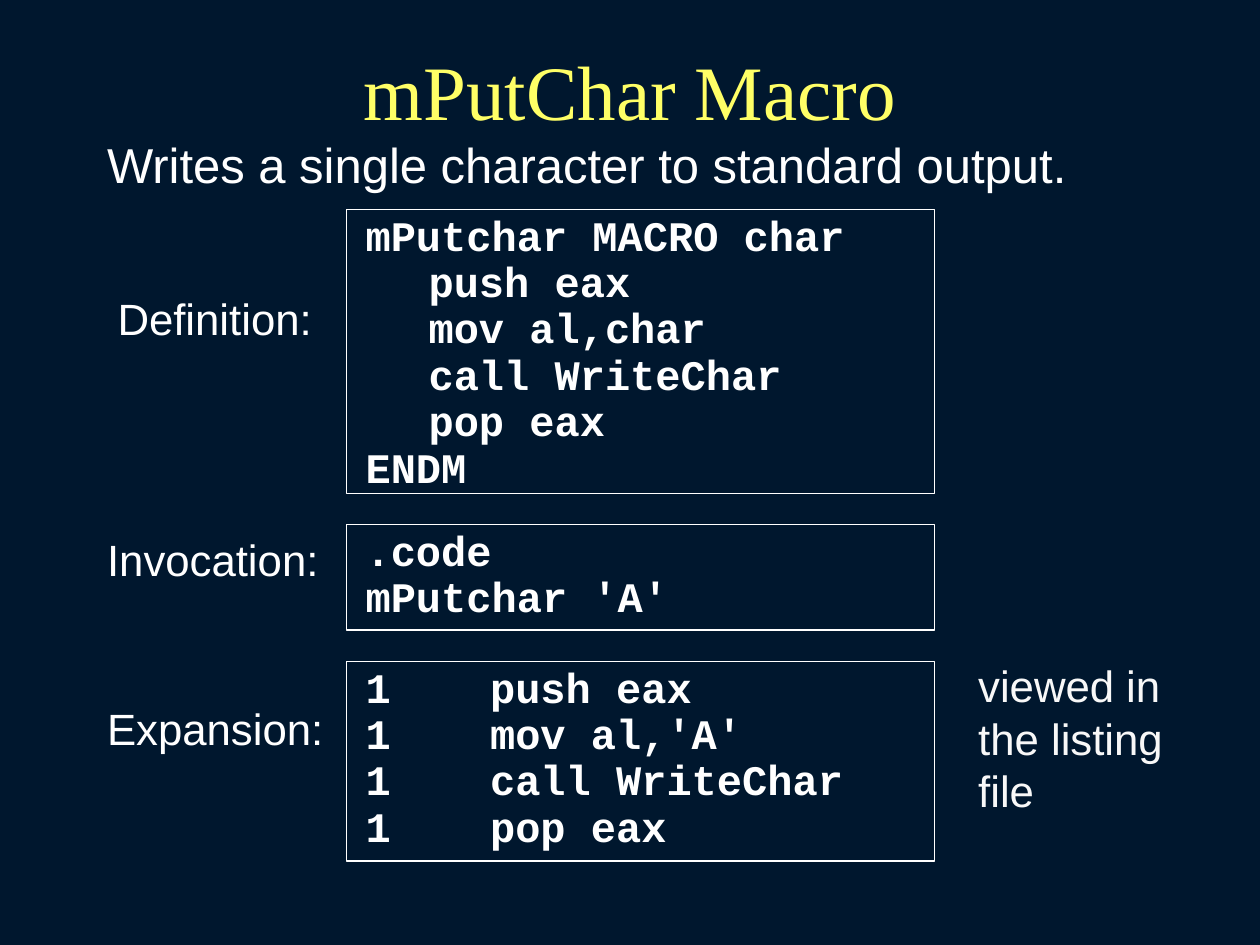
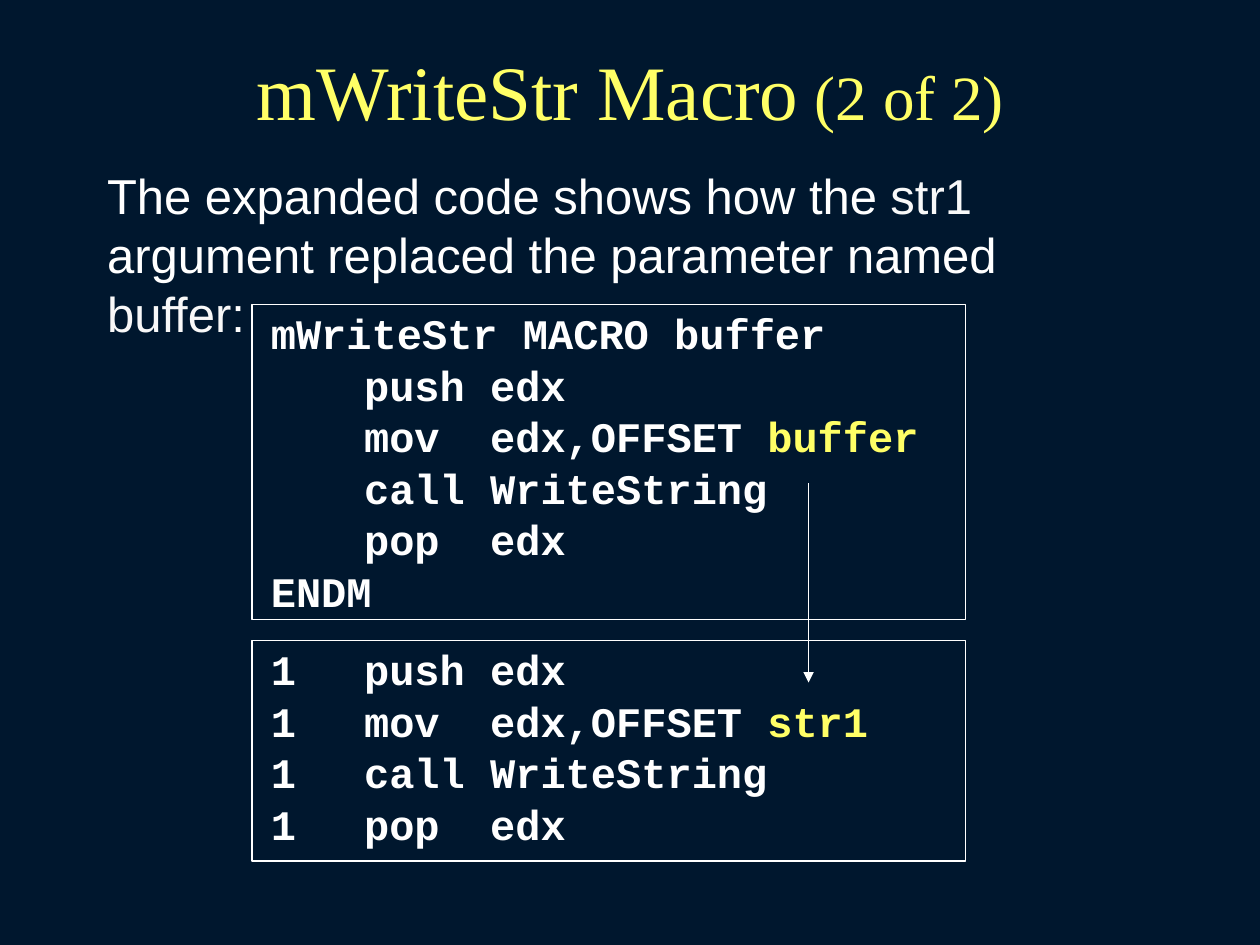
"""Build two slides on assembly macros and their expansion."""
from lxml.etree import SubElement as Sub
from pptx import Presentation
from pptx.dml.color import RGBColor
from pptx.enum.shapes import MSO_CONNECTOR as Link, MSO_SHAPE as Shape
from pptx.enum.text import MSO_ANCHOR as Anchor, PP_ALIGN as Align
from pptx.oxml.ns import qn
from pptx.util import Cm, Pt

NAVY, WHITE, PALE, YELLOW = "00172E", "FFFFFF", "F8F8F8", "FFFF66"
LEFT, TALL = 1.91, 1.83


def hue(code):
    return RGBColor.from_string(code)


def write(shape, lines, font, size, color, accent=None, small=None,
          pad=(0.25, 0.38), lead=None, gap=0, tab=None, bold=False):
    """Fill a shape with lines; every second part between bars is accented."""
    shape.text_frame.word_wrap = True
    frame = shape.text_frame
    frame.margin_left = frame.margin_right = Cm(pad[0])
    frame.margin_top = frame.margin_bottom = Cm(pad[1])
    frame.vertical_anchor = Anchor.TOP
    for row, line in enumerate(lines):
        para = frame.add_paragraph() if row else frame.paragraphs[0]
        para.alignment = Align.LEFT
        if lead:
            para.line_spacing = lead
        if row:
            para.space_before = Pt(gap)
        if tab:
            stops = Sub(para._p.get_or_add_pPr(), qn("a:tabLst"))
            Sub(stops, qn("a:tab"), pos=str(Cm(tab)), algn="l")
        for part, text in enumerate(line.split("|")):
            if not text:
                continue
            run = para.add_run()
            run.text = text
            run.font.name = font
            run.font.bold = bold
            odd = part % 2
            run.font.size = Pt(small if odd and small else size)
            run.font.color.rgb = hue(accent if odd and accent else color)


deck = Presentation()
deck.slide_width, deck.slide_height = Cm(25.4), Cm(19.05)

pages = [
    dict(
        title="mPutChar Macro",
        notes=[
            (LEFT, 2.34, 21.39, 1.96, 28, WHITE,
             "Writes a single character to standard output."),
            (2.12, 5.5, 6.55, TALL, 25, WHITE, "Definition:"),
            (LEFT, 10.37, 6.55, TALL, 25, WHITE, "Invocation:"),
            (LEFT, 13.76, 6.55, TALL, 25, WHITE, "Expansion:"),
            (19.47, 12.91, 5.5, 3.94, 25, PALE, "viewed in the listing file"),
        ],
        left=6.99, wide=11.85, lead=0.4,
        code=[
            (4.23, 5.72, 1.27, WHITE,
             ["mPutchar MACRO char", "\tpush eax", "\tmov al,char",
              "\tcall WriteChar", "\tpop eax", "ENDM"]),
            (10.58, 2.12, 1.27, WHITE, [".code", "mPutchar 'A'"]),
            (13.34, 4.02, 2.51, WHITE,
             ["1\tpush eax", "1\tmov al,'A'", "1\tcall WriteChar",
              "1\tpop eax"]),
        ],
    ),
    dict(
        title="mWriteStr Macro| (2 of 2)",
        notes=[
            (LEFT, 2.96, 21.39, 4.32, 28, WHITE,
             "The expanded code shows how the |str1| argument replaced "
             "the parameter named |buffer|:"),
        ],
        left=5.08, wide=14.39, lead=0.5,
        code=[
            (6.14, 6.35, 1.88, YELLOW,
             ["mWriteStr MACRO buffer", "\tpush edx",
              "\tmov  edx,OFFSET |buffer", "\tcall WriteString",
              "\tpop  edx", "ENDM"]),
            (12.91, 4.45, 1.88, YELLOW,
             ["1\tpush edx", "1\tmov  edx,OFFSET |str1",
              "1\tcall WriteString", "1\tpop  edx"]),
        ],
    ),
]

for page in pages:
    slide = deck.slides.add_slide(deck.slide_layouts[6])
    slide.background.fill.solid()
    slide.background.fill.fore_color.rgb = hue(NAVY)

    head = slide.shapes.add_textbox(Cm(LEFT), Cm(0.64), Cm(21.59), Cm(2.34))
    write(head, [page["title"]], "Times New Roman", 44, YELLOW, small=36,
          pad=(0.25, 0.13))
    head.text_frame.vertical_anchor = Anchor.MIDDLE
    head.text_frame.paragraphs[0].alignment = Align.CENTER

    for x, y, wide, high, size, color, text in page["notes"]:
        note = slide.shapes.add_textbox(Cm(x), Cm(y), Cm(wide), Cm(high))
        write(note, [text], "Arial", size, color, PALE)

    for y, high, tab, accent, lines in page["code"]:
        box = slide.shapes.add_shape(Shape.RECTANGLE, Cm(page["left"]), Cm(y),
                                     Cm(page["wide"]), Cm(high))
        box.shadow.inherit = False
        box.fill.background()
        box.line.color.rgb = hue(WHITE)
        box.line.width = Pt(0.75)
        write(box, lines, "Courier New", 24, WHITE, accent, pad=(0.38, 0.51),
              lead=page["lead"], gap=15, tab=tab, bold=True)

arrow = slide.shapes.add_connector(Link.STRAIGHT, Cm(16.3), Cm(9.74),
                                   Cm(16.3), Cm(13.76))
arrow.line.color.rgb = hue(WHITE)
arrow.line.width = Pt(0.75)
Sub(arrow.line._get_or_add_ln(), qn("a:tailEnd"), type="triangle")
Sub(arrow._element.spPr, qn("a:effectLst"))

deck.save("out.pptx")
